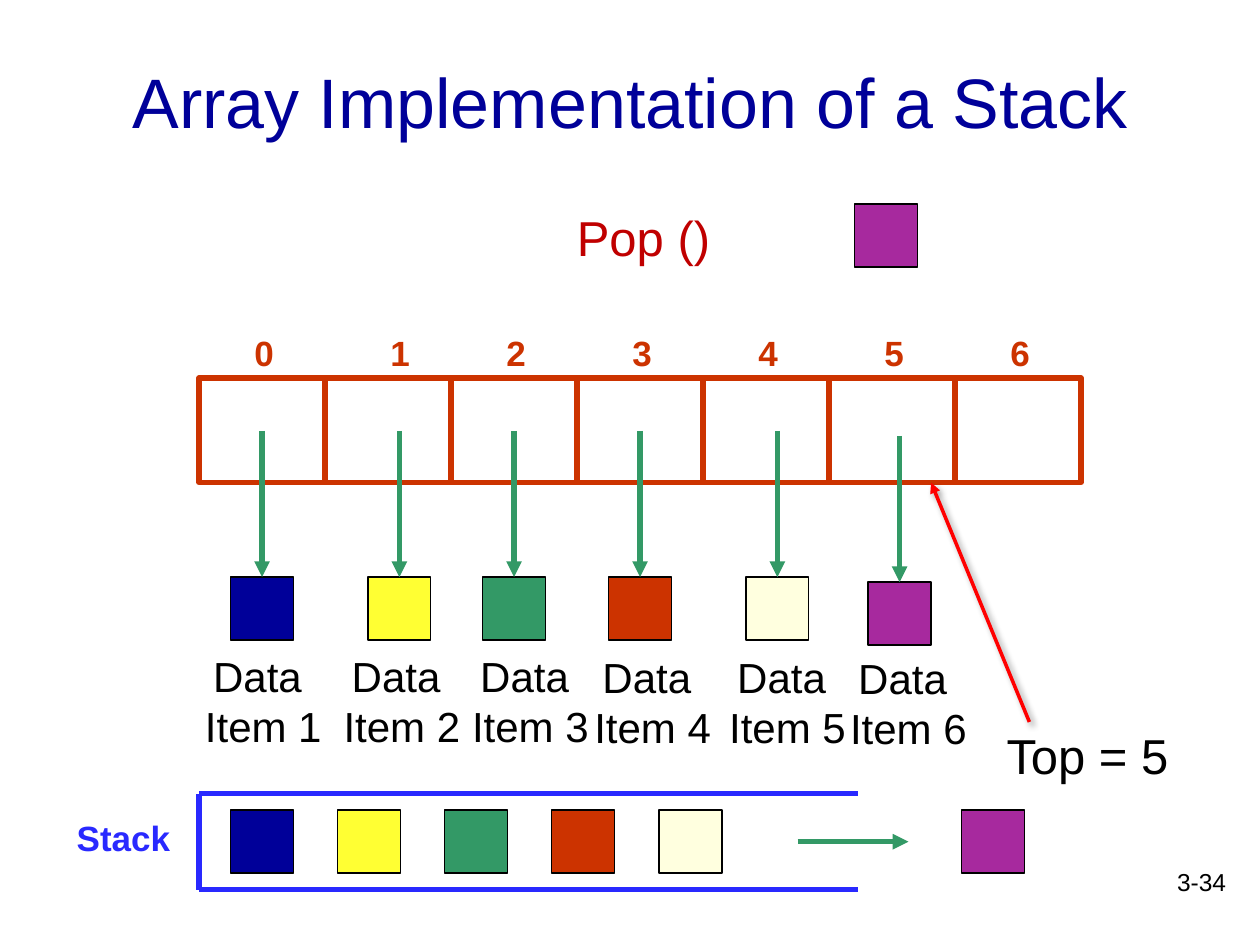
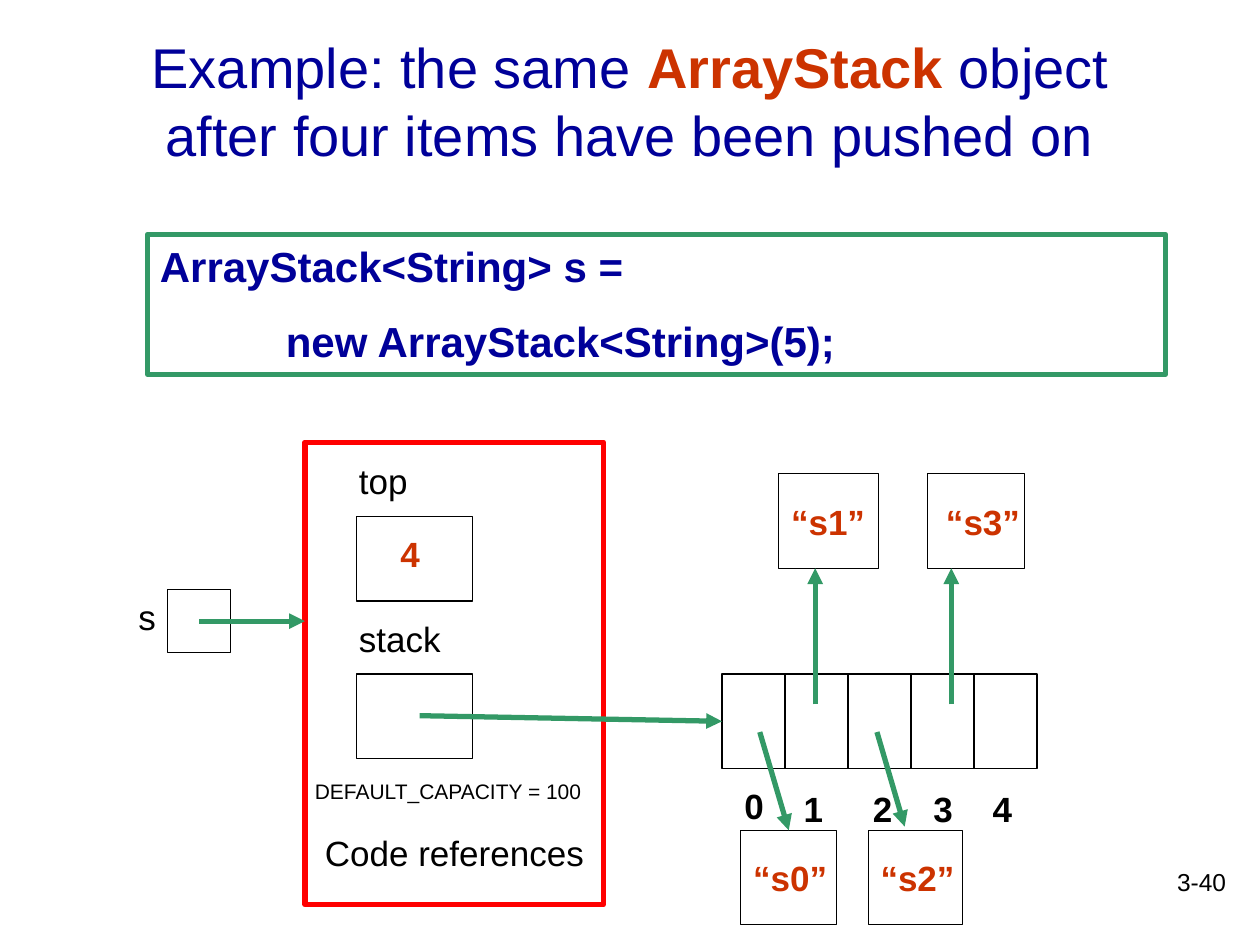
from lxml import etree
from pptx import Presentation
from pptx.dml.color import RGBColor
from pptx.enum import shapes, text
from pptx.oxml import ns
from pptx.util import Inches, Pt

COLORS = {
    "navy": "000099", "yellow": "FFFF33", "green": "339966", "rust": "CC3300",
    "cream": "FFFFDF", "purple": "A7299E", "blue": "2929FF", "red": "FF0000",
    "crimson": "C00000", "black": "000000",
}
FONT = "Arial"
THIN, THICK = 0.75, 3
LEFT, CENTER, RIGHT = text.PP_ALIGN.LEFT, text.PP_ALIGN.CENTER, text.PP_ALIGN.RIGHT


def rgb(name):
    return RGBColor.from_string(COLORS[name])


def inches(values):
    return [Inches(v) for v in values]


class Deck:
    """Holds the shared style and the slide being drawn."""

    def __init__(self):
        self.prs = Presentation()
        self.prs.slide_width, self.prs.slide_height = Inches(10), Inches(7.5)
        self.s = None

    def slide(self, title_runs, size, number):
        self.s = self.prs.slides.add_slide(self.prs.slide_layouts[5])
        sp = self.s.shapes.title
        sp.left, sp.top, sp.width, sp.height = inches((0.75, 0.17, 8.5, 1.25))
        tf = sp.text_frame
        tf.auto_size = text.MSO_AUTO_SIZE.NONE
        tf.vertical_anchor = text.MSO_ANCHOR.MIDDLE
        tf.paragraphs[0].alignment = CENTER
        for words, color, bold in title_runs:
            self.run(tf.paragraphs[0], words, size, color, bold)
        self.label(number, 7.75, 6.83, 2.08, 0.5, size=14, align=RIGHT)

    def run(self, p, words, size, color, bold=False):
        r = p.add_run()
        r.text = words
        r.font.name, r.font.size, r.font.bold = FONT, Pt(size), bold
        r.font.color.rgb = rgb(color)

    def fill_text(self, tf, lines, size, color, bold, align, gap=0):
        tf.vertical_anchor = text.MSO_ANCHOR.TOP
        for i, line in enumerate(lines):
            p = tf.add_paragraph() if i else tf.paragraphs[0]
            p.alignment = align
            if i and gap:
                p.space_before = Pt(gap)
            self.run(p, line, size, color, bold)

    def label(self, words, x, y, w, h=0.43, size=20, color="black",
              bold=False, align=LEFT, wrap=True):
        sp = self.s.shapes.add_textbox(*inches((x, y, w, h)))
        sp.text_frame.word_wrap = wrap
        self.fill_text(sp.text_frame, words.split("\n"), size, color, bold, align)

    def box(self, x, y, w, h, fill=None, line="black", width=THIN):
        sp = self.s.shapes.add_shape(shapes.MSO_SHAPE.RECTANGLE,
                                     *inches((x, y, w, h)))
        sp.shadow.inherit = False
        if fill:
            sp.fill.solid()
            sp.fill.fore_color.rgb = rgb(fill)
        else:
            sp.fill.background()
        sp.line.color.rgb = rgb(line)
        sp.line.width = Pt(width)
        return sp

    def square(self, x, y, fill=None):
        return self.box(x, y, 0.5, 0.5, fill)

    def line(self, start, end, color="green", width=THICK, arrow=True,
             target=None, site=0, shadow=False):
        c = self.s.shapes.add_connector(shapes.MSO_CONNECTOR.STRAIGHT,
                                        *inches(start + end))
        c.line.color.rgb = rgb(color)
        c.line.width = Pt(width)
        if target is not None:
            c.end_connect(target, site)
        spPr = c._element.spPr
        if arrow:
            etree.SubElement(spPr.find(ns.qn("a:ln")), ns.qn("a:tailEnd"),
                             type="triangle")
        effects = etree.SubElement(spPr, ns.qn("a:effectLst"))
        if shadow:
            outer = etree.SubElement(
                effects, ns.qn("a:outerShdw"), blurRad=str(Pt(4)),
                dist=str(Pt(3)), dir=str(45 * 60000), rotWithShape="0")
            tint = etree.SubElement(outer, ns.qn("a:srgbClr"),
                                    val=COLORS["black"])
            etree.SubElement(tint, ns.qn("a:alpha"), val="40000")


def array_slide(d):
    d.slide([("Array Implementation of a Stack", "navy", False)], 40, "3-34")

    # Popped item
    d.label("Pop ()", 4.48, 1.6, 1.38, 0.57, 28, "crimson", wrap=False)
    d.square(6.78, 1.62, "purple")

    # Array cells and their indices
    for i in range(7):
        d.box(1.58 + i, 3, 1, 0.83, line="rust", width=THICK)
        d.label(str(i), 3 if i == 1 else 1.92 + i, 2.58, 0.42,
                color="rust", bold=True)

    # Data items: colour, square left and top, label left and top
    items = [
        ("navy", 1.83, 4.58, 1.52, 5.11),
        ("yellow", 2.92, 4.58, 2.62, 5.11),
        ("green", 3.83, 4.58, 3.64, 5.11),
        ("rust", 4.83, 4.58, 4.61, 5.12),
        ("cream", 5.92, 4.58, 5.68, 5.12),
        ("purple", 6.89, 4.62, 6.64, 5.13),
    ]
    for n, (color, x, y, label_x, label_y) in enumerate(items, 1):
        sp = d.square(x, y, color)
        d.line((x + 0.25, y - 1.16), (x + 0.25, y), target=sp)
        d.label(f"Data \nItem {n}", label_x, label_y, 1.14, 0.91, 24,
                align=CENTER, wrap=False)

    # Top pointer
    d.line((8.17, 5.73), (7.39, 3.83), "red", 2, shadow=True)
    d.label("Top = 5", 7.89, 5.71, 1.5, 0.57, 28, wrap=False)

    # Stack, open on the right
    left, right, top, bottom = 1.58, 6.81, 6.3, 7.06
    for start, end in [((left, top), (right, top)),
                       ((left, bottom), (right, bottom)),
                       ((left, top), (left, bottom))]:
        d.line(start, end, "blue", arrow=False)
    d.label("Stack", 0.51, 6.43, 0.95, color="blue", bold=True, wrap=False)
    for i, item in enumerate(items[:5]):
        d.square(1.83 + 0.85 * i, 6.43, item[0])
    d.line((6.33, 6.68), (7.21, 6.68))
    d.square(7.63, 6.43, "purple")


def example_slide(d):
    d.slide([("Example: the same ", "navy", False),
             ("ArrayStack", "rust", True),
             (" object after four items have been pushed on", "navy", False)],
            32, "3-40")

    # Code
    sp = d.box(1.17, 1.86, 8.08, 1.11, line="green", width=THICK)
    d.fill_text(sp.text_frame,
                ["ArrayStack<String> s =", "\t\tnew ArrayStack<String>(5);"],
                24, "navy", True, LEFT, gap=14)

    # Stack object and its fields
    d.box(2.42, 3.51, 2.37, 3.67, line="red", width=THICK)
    for name, y in [("top", 3.6), ("stack", 4.85)]:
        d.label(name, 2.75, y, 1.33)
        d.box(2.83, y + 0.5, 0.92, 0.67)
    d.label("4", 3.08, 4.18, 0.42, color="rust", bold=True)
    d.label("DEFAULT_CAPACITY = 100", 2.4, 6.13, 2.91, 0.3, 12)
    d.label("Code references", 2.48, 6.55, 2.32)

    # Reference s
    d.label("s", 1, 4.68, 0.5)
    d.square(1.33, 4.68)
    d.line((1.58, 4.93), (2.42, 4.93))

    # Array cells and their indices
    cells = [d.box(5.73 + 0.5 * i, 5.35, 0.5, 0.75) for i in range(5)]
    for i, x in enumerate([5.81, 6.28, 6.83, 7.31, 7.78]):
        d.label(str(i), x, 6.2 if i else 6.18, 0.33, bold=True)
    d.line((3.33, 5.68), (5.73, 5.73), target=cells[0], site=1)

    # Strings: box left, top and width, text left, arrow start and end
    strings = [
        (5.88, 6.59, 0.76, 5.88, (6.03, 5.81), (6.26, 6.59)),
        (6.18, 3.76, 0.79, 6.18, (6.47, 5.59), (6.47, 4.51)),
        (6.89, 6.59, 0.75, 6.89, (6.96, 5.81), (7.18, 6.56)),
        (7.36, 3.76, 0.77, 7.41, (7.55, 5.59), (7.55, 4.51)),
    ]
    for i, (x, y, w, text_x, start, end) in enumerate(strings):
        sp = d.box(x, y, w, 0.75)
        d.label(f"“s{i}”", text_x, y + 0.16, 1.04, color="rust", bold=True)
        d.line(start, end, target=None if i else sp)


def main():
    d = Deck()
    array_slide(d)
    example_slide(d)
    d.prs.save("out.pptx")


if __name__ == "__main__":
    main()
